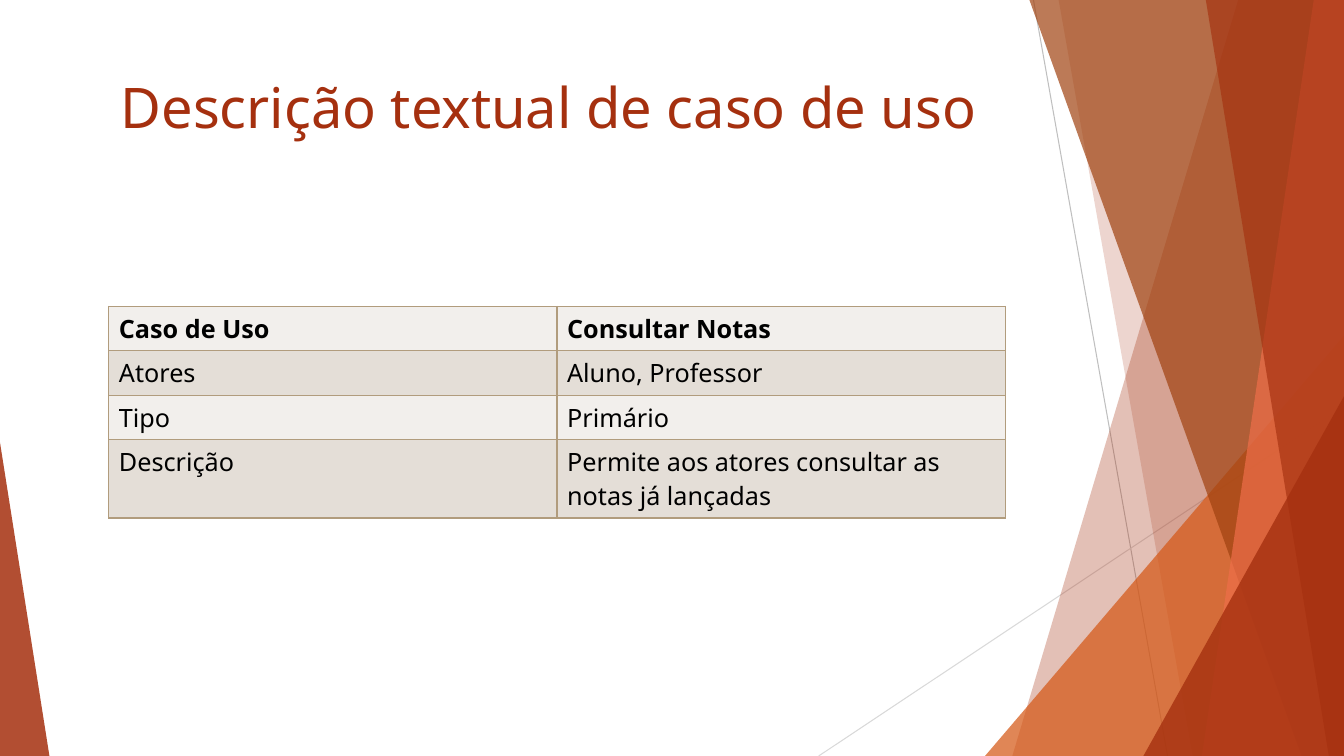
from lxml.etree import SubElement
from pptx import Presentation
from pptx.dml.color import RGBColor
from pptx.enum.shapes import MSO_CONNECTOR, MSO_SHAPE
from pptx.enum.text import PP_ALIGN
from pptx.oxml import parse_xml
from pptx.oxml.ns import nsdecls, qn
from pptx.util import Inches, Pt

WIDTH, HEIGHT = 13.33, 7.5
FONT = "Noto Sans"
RUST = "A5300F"
TABLE_LINE = "B19C7D"
ROW_FILLS = ("F2EFEC", "E4DED7")

TITLE = "Descrição textual de caso de uso"
USE_CASE = [
    ("Caso de Uso", "Consultar Notas"),
    ("Atores", "Aluno, Professor"),
    ("Tipo", "Primário"),
    ("Descrição", "Permite aos atores consultar as notas já lançadas"),
]
ROW_HEIGHTS = (0.44, 0.44, 0.44, 0.78)

# Start x, start y, end x, end y, colour
THIN_LINES = [
    (10.25, 0, 11.58, HEIGHT, "BFBFBF"),
    (WIDTH, 4.03, 8.12, HEIGHT, "D9D9D9"),
]
# Bands reach the right edge: top x, bottom x, colour, opacity %
# Triangles stand on the bottom edge: left, top, width, apex, colour, opacity %
FACETS = [
    ("band", 12.28, 10.04, RUST, 30),
    ("band", 10.5, 11.83, RUST, 20),
    ("triangle", 9.77, 3.33, 3.56, 1, "D55816", 72),
    ("band", 10.21, 12.91, "A04210", 70),
    ("band", 13.03, 11.92, "EE6E4A", 70),
    ("band", 11.96, 13.18, RUST, 65),
    ("triangle", 11.34, 3.93, 1.99, 1, RUST, 80),
    ("triangle", 0, 4.39, 0.49, 0, RUST, 85),
]

presentation = Presentation()
presentation.slide_width, presentation.slide_height = Inches(WIDTH), Inches(HEIGHT)
slide = presentation.slides.add_slide(presentation.slide_layouts[6])
shapes = slide.shapes


def paint(fill, colour, opacity=100):
    fill.solid()
    fill.fore_color.rgb = RGBColor.from_string(colour)
    if opacity < 100:
        colour_node = fill._xPr.find(qn("a:solidFill"))[0]
        SubElement(colour_node, qn("a:alpha"), val=str(opacity * 1000))


def style_text(paragraph, size, colour, bold=False):
    font = paragraph.font
    font.name, font.size, font.bold = FONT, Pt(size), bold
    font.color.rgb = RGBColor.from_string(colour)


def add_band(top_x, bottom_x):
    corners = [(top_x, 0), (WIDTH, 0), (WIDTH, HEIGHT), (bottom_x, HEIGHT)]
    points = [(Inches(x), Inches(y)) for x, y in corners]
    builder = shapes.build_freeform(*points[0])
    builder.add_line_segments(points[1:], close=True)
    return builder.convert_to_shape()


def add_triangle(left, top, width, apex):
    triangle = shapes.add_shape(
        MSO_SHAPE.ISOSCELES_TRIANGLE,
        Inches(left), Inches(top), Inches(width), Inches(HEIGHT - top))
    triangle.adjustments[0] = apex
    return triangle


def add_borders(cell, colour):
    properties = cell._tc.get_or_add_tcPr()
    for position, side in enumerate("LRTB"):
        properties.insert(position, parse_xml(
            f'<a:ln{side} {nsdecls("a")} w="{Pt(1)}"><a:solidFill>'
            f'<a:srgbClr val="{colour}"/></a:solidFill></a:ln{side}>'))


# Decorative lines and facets
for *ends, colour in THIN_LINES:
    thin_line = shapes.add_connector(MSO_CONNECTOR.STRAIGHT, *map(Inches, ends))
    thin_line.line.width = Pt(0.75)
    paint(thin_line.line.fill, colour)
    SubElement(thin_line._element.spPr, qn("a:effectLst"))

ADD_FACET = {"band": add_band, "triangle": add_triangle}
for kind, *outline, colour, opacity in FACETS:
    facet = ADD_FACET[kind](*outline)
    facet.shadow.inherit = False
    facet.line.fill.background()
    paint(facet.fill, colour, opacity)

# Title
title = shapes.add_textbox(Inches(0.74), Inches(0.67), Inches(9.4), Inches(1.44))
title.text_frame.word_wrap = True
heading = title.text_frame.paragraphs[0]
heading.text = TITLE
heading.alignment = PP_ALIGN.CENTER
style_text(heading, 40, RUST)

# Use case table
table = shapes.add_table(
    len(USE_CASE), 2, Inches(1.08), Inches(3.04),
    Inches(8.89), Inches(sum(ROW_HEIGHTS))).table
table.first_row = table.horz_banding = False
for row, (entries, height) in enumerate(zip(USE_CASE, ROW_HEIGHTS)):
    table.rows[row].height = Inches(height)
    for column, entry in enumerate(entries):
        cell = table.cell(row, column)
        cell.text = entry
        style_text(cell.text_frame.paragraphs[0], 18, "000000", bold=row == 0)
        paint(cell.fill, ROW_FILLS[row % 2])
        add_borders(cell, TABLE_LINE)

presentation.save("out.pptx")
